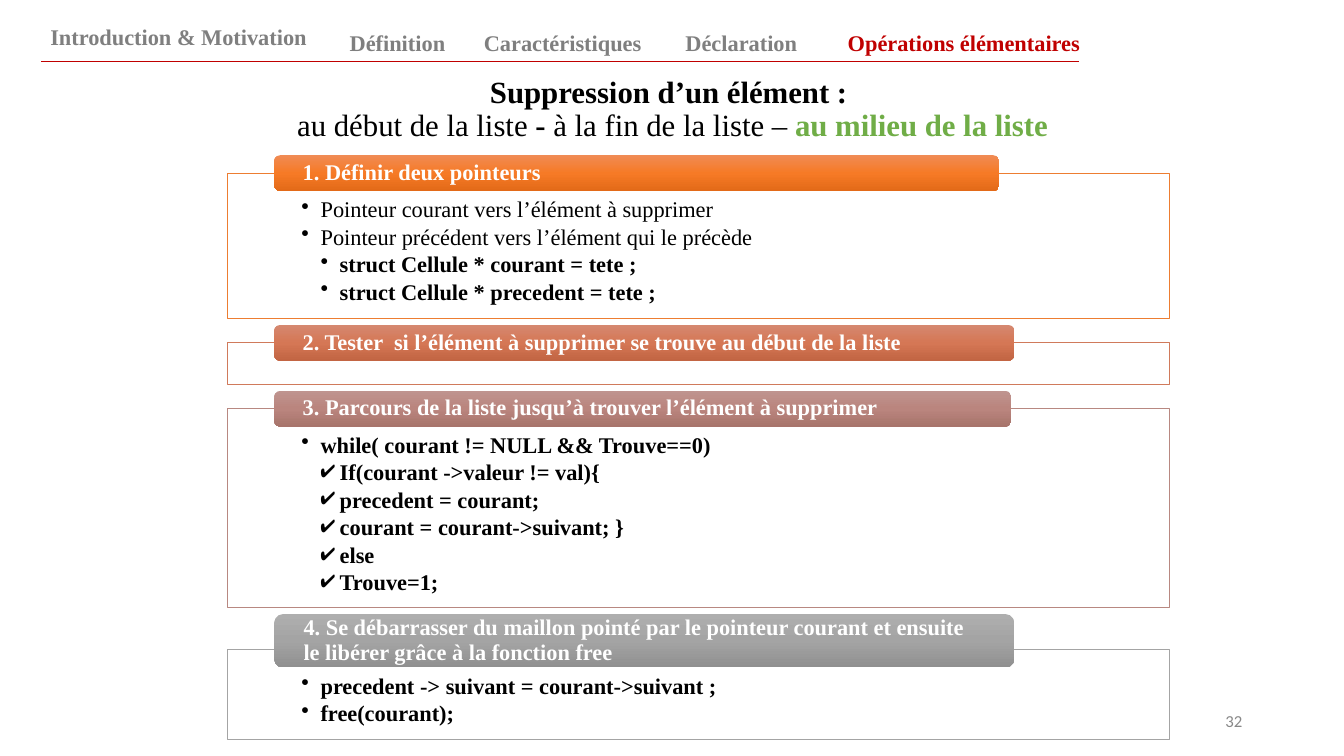
"""Build the slide on deleting an element from the middle of a linked list."""
from copy import deepcopy
from dataclasses import dataclass

from pptx import Presentation
from pptx.dml.color import RGBColor as Rgb
from pptx.enum.shapes import MSO_CONNECTOR as Link, MSO_SHAPE as Preset
from pptx.enum.text import MSO_ANCHOR as Anchor, MSO_AUTO_SIZE as Fit, PP_ALIGN as Align
from pptx.oxml.ns import qn
from pptx.oxml.xmlchemy import OxmlElement as element
from pptx.util import Inches, Pt


@dataclass(frozen=True)
class Theme:
    """Colours, fonts and type sizes of the deck."""
    serif: str = "Times New Roman"
    sans: str = "Calibri"
    title: float = 22
    body: float = 16
    small: float = 12
    hairline: float = 0.75
    leading: float = 0.9
    black: str = "000000"
    white: str = "FFFFFF"
    muted: str = "7F7F7F"
    number: str = "888888"
    active: str = "C00000"
    accent: str = "70AD47"


THEME = Theme()
COLUMNS, ROWS = 133.3, 75
FRAME_LEFT, FRAME_WIDTH = 22.6, 93.4
TAB_LEFT, TAB_OVERLAP, PANEL_GAP = 27.2, 1.77, 0.67
FIRST_TAB_TOP, INDENT = 15.4, 1.9

NAVIGATION = [
    ("Introduction & Motivation", 4, 1.4, 29.8),
    ("Définition", 33.7, 1.9, 12.4),
    ("Caractéristiques", 47, 1.9, 19.1),
    ("Déclaration", 67, 1.9, 13.5),
    ("Opérations élémentaires", 82.4, 1.9, 26.4),
]

PANELS = [
    ("1. Définir deux pointeurs", 71.9, 3.54, 14.4,
     "ED7D31", ("F08B54", "F67A26", "E36A18"),
     [(1, "•", False, "Pointeur courant vers l’élément à supprimer"),
      (1, "•", False, "Pointeur précédent vers l’élément qui le précède"),
      (2, "•", True, "struct Cellule * courant = tete ;"),
      (2, "•", True, "struct Cellule * precedent = tete ;")]),
    ("2. Tester  si l’élément à supprimer se trouve au début de la liste", 73.4, 3.54, 4.1,
     "D07A5B", ("D58870", "D57755", "C26543"), []),
    ("3. Parcours de la liste jusqu’à trouver l’élément à supprimer", 73.1, 3.54, 19.7,
     "B88881", ("BF948F", "BA857E", "A7746B"),
     [(1, "•", True, "while( courant != NULL && Trouve==0)"),
      (2, "✔", True, "If(courant ->valeur != val){"),
      (2, "✔", True, "precedent = courant;"),
      (2, "✔", True, "courant = courant->suivant; }"),
      (2, "✔", True, "else"),
      (2, "✔", True, "Trouve=1;")]),
    ("4. Se débarrasser du maillon pointé par le pointeur courant et ensuite le "
     "libérer grâce à la fonction free", 73.4, 5.3, 8.9,
     "A4A4A4", ("AEAEAE", "A4A4A4", "909090"),
     [(1, "•", True, "precedent -> suivant = courant->suivant ;"),
      (1, "•", True, "free(courant);")]),
]


def grid(*cells):
    """Turn grid columns or rows into lengths."""
    return [Inches(cell / 10) for cell in cells]


def add_span(para, text, color, size=THEME.body, bold=True, font=THEME.serif):
    """Add one formatted run to a paragraph."""
    span = para.add_run()
    span.text = text
    span.font.name, span.font.size, span.font.bold = font, Pt(size), bold
    span.font.color.rgb = Rgb.from_string(color)


def set_frame(box, anchor, across=1, top=0.5, bottom=0.5):
    """Set wrapping, anchor and insets, and return the first paragraph."""
    frame = box.text_frame
    frame.word_wrap, frame.auto_size, frame.vertical_anchor = True, Fit.NONE, anchor
    frame.margin_left = frame.margin_right = grid(across)[0]
    frame.margin_top, frame.margin_bottom = grid(top, bottom)
    return frame.paragraphs[0]


def add_label(page, text, cells, color, anchor, align=Align.LEFT, **style):
    """Add a one-line text box."""
    para = set_frame(page.shapes.add_textbox(*grid(*cells)), anchor)
    para.alignment = align
    add_span(para, text, color, **style)


def add_navigation(page):
    """Add the section names and the rule below them."""
    for text, left, top, width in NAVIGATION:
        current = text == NAVIGATION[-1][0]
        add_label(page, text, (left, top, width, 4.1),
                  THEME.active if current else THEME.muted, Anchor.BOTTOM,
                  Align.CENTER if current else Align.LEFT)
    rule = page.shapes.add_connector(Link.STRAIGHT, *grid(4.1, 6.1, 107, 6.1))
    rule.line.color.rgb = Rgb.from_string(THEME.active)
    rule.line.width = Pt(THEME.hairline)
    rule._element.spPr.append(element("a:effectLst"))


def set_title(page):
    """Place and fill the title placeholder."""
    title = page.shapes.title
    title.left, title.top, title.width, title.height = grid(8.7, 6.8, 116, 8.3)
    para = set_frame(title, Anchor.MIDDLE)
    para.alignment, para.line_spacing = Align.CENTER, THEME.leading
    add_span(para, "Suppression d’un élément : ", THEME.black, THEME.title)
    para.add_line_break()
    for text, color, bold in [
        ("au début de la liste ", THEME.black, False),
        ("- ", THEME.black, True),
        ("à la fin de la liste – ", THEME.black, False),
        ("au milieu de la liste", THEME.accent, True),
    ]:
        add_span(para, text, color, THEME.title, bold)


def set_bullet(para, level, mark):
    """Give a paragraph a hanging black bullet."""
    para.level = level
    properties = para._p.get_or_add_pPr()
    properties.set("marL", str(grid(level * INDENT)[0]))
    properties.set("indent", str(grid(-INDENT)[0]))
    tint, shade, bullet = element("a:buClr"), element("a:srgbClr"), element("a:buChar")
    shade.set("val", THEME.black)
    tint.append(shade)
    bullet.set("char", mark)
    properties.extend([tint, bullet])


def add_frame(page, top, height, color, items):
    """Add an outlined box with its bullet list."""
    box = page.shapes.add_shape(
        Preset.RECTANGLE, *grid(FRAME_LEFT, top, FRAME_WIDTH, height))
    box.shadow.inherit = False
    box.fill.solid()
    box.fill.fore_color.rgb = Rgb.from_string(THEME.white)
    alpha = element("a:alpha")
    alpha.set("val", "89000")
    box._element.spPr.find(".//" + qn("a:srgbClr")).append(alpha)
    box.line.color.rgb = Rgb.from_string(color)
    box.line.width = Pt(THEME.hairline)
    first = set_frame(box, Anchor.TOP, 7.3, 2.5, 1.2)
    for index, (level, mark, bold, text) in enumerate(items):
        para = box.text_frame.add_paragraph() if index else first
        para.alignment, para.line_spacing = Align.LEFT, THEME.leading
        para.space_before = Pt(2.4 if index else 0)
        set_bullet(para, level, mark)
        add_span(para, text, THEME.black, bold=bold)


def add_tab(page, text, top, width, height, colors):
    """Add a rounded heading with a vertical gradient."""
    tab = page.shapes.add_shape(
        Preset.ROUNDED_RECTANGLE, *grid(TAB_LEFT, top, width, height))
    tab.shadow.inherit = False
    tab.line.fill.background()
    tab.fill.gradient()
    tab.fill.gradient_angle = 270
    stops = tab._element.spPr.find(".//" + qn("a:gsLst"))
    stops.insert(1, deepcopy(stops[0]))
    for index, (stop, color) in enumerate(zip(tab.fill.gradient_stops, colors)):
        stop.color.rgb = Rgb.from_string(color)
        stop.position = index / 2
    para = set_frame(tab, Anchor.MIDDLE, 2.65, 0.2, 0.2)
    para.alignment, para.line_spacing = Align.LEFT, THEME.leading
    add_span(para, text, THEME.white)


def main():
    """Build and save the deck."""
    deck = Presentation()
    deck.slide_width, deck.slide_height = grid(COLUMNS, ROWS)
    page = deck.slides.add_slide(deck.slide_layouts[5])
    add_label(page, "32", (94.2, 69.5, 30, 4), THEME.number, Anchor.MIDDLE, Align.RIGHT,
              size=THEME.small, bold=False, font=THEME.sans)
    add_navigation(page)
    set_title(page)
    tab_top = FIRST_TAB_TOP
    for heading, width, tab_height, height, outline, colors, items in PANELS:
        frame_top = tab_top + tab_height - TAB_OVERLAP
        add_frame(page, frame_top, height, outline, items)
        add_tab(page, heading, tab_top, width, tab_height, colors)
        tab_top = frame_top + height + PANEL_GAP
    deck.save("out.pptx")


if __name__ == "__main__":
    main()
